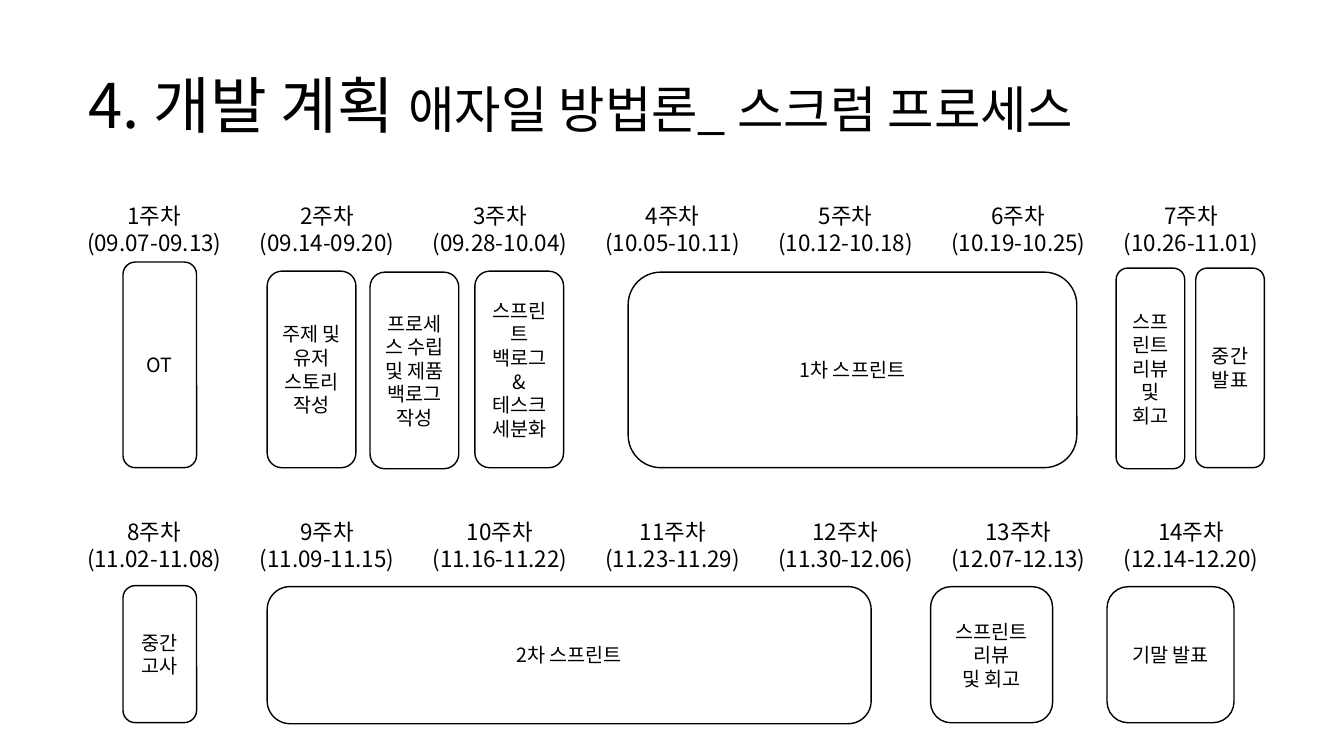
import pptx
import pptx.util
import pptx.dml.color
import pptx.enum.shapes
import pptx.enum.text
import pptx.oxml.ns
import lxml.etree

Inches = pptx.util.Inches

THEME = {
    "font": "Noto Sans CJK KR",
    "ink": pptx.dml.color.RGBColor(0, 0, 0),
    "paper": pptx.dml.color.RGBColor(255, 255, 255),
    "title": 44, "subtitle": 36, "week": 16, "task": 14, "outline": 1,
}

TITLE = [("4. 개발 계획 ", "title"), ("애자일 방법론_ 스크럼 프로세스", "subtitle")]
TITLE_AREA = (0.78, 0.35, 11.5, 1.45)

# Each task: left, top, width, height, lines
ROWS = [
    {
        "first_week": 1, "top": 1.87, "filled_weeks": True,
        "dates": ["09.07-09.13", "09.14-09.20", "09.28-10.04", "10.05-10.11",
                  "10.12-10.18", "10.19-10.25", "10.26-11.01"],
        "tasks": [
            (6.23, 2.7, 4.45, 1.94, ["1차 스프린트"]),
            (11.07, 2.66, 0.68, 1.99, ["스프린트 리뷰", "및 회고"]),
            (11.86, 2.66, 0.68, 1.98, ["중간 발표"]),
            (1.22, 2.6, 0.73, 2.04, ["OT"]),
            (2.65, 2.69, 0.88, 1.95, ["주제 및 유저 스토리 작성"]),
            (3.67, 2.7, 0.88, 1.95, ["프로세스 수립", "및 제품 백로그 작성"]),
            (4.71, 2.69, 0.88, 1.95, ["스프린트 백로그", "&", "테스크 세분화"]),
        ],
    },
    {
        "first_week": 8, "top": 5.01, "filled_weeks": False,
        "dates": ["11.02-11.08", "11.09-11.15", "11.16-11.22", "11.23-11.29",
                  "11.30-12.06", "12.07-12.13", "12.14-12.20"],
        "tasks": [
            (1.22, 5.81, 0.73, 1.36, ["중간고사"]),
            (2.65, 5.82, 5.99, 1.36, ["2차 스프린트"]),
            (9.23, 5.82, 1.21, 1.35, ["스프린트 리뷰", "및 회고"]),
            (10.98, 5.82, 1.26, 1.35, ["기말 발표"]),
        ],
    },
]
WEEKS_LEFT, WEEK_STEP, WEEK_WIDTH, WEEK_HEIGHT = 0.67, 1.714, 1.72, 0.8


def add_run(paragraph, text, size_name):
    run = paragraph.add_run()
    run.text = text
    formats = {"name": THEME["font"], "size": pptx.util.Pt(THEME[size_name])}
    for attribute, value in formats.items():
        setattr(run.font, attribute, value)
    run.font.color.rgb = THEME["ink"]
    east_asian = lxml.etree.SubElement(run.font._element, pptx.oxml.ns.qn("a:ea"))
    east_asian.set("typeface", THEME["font"])


def set_frame(frame):
    formats = {"word_wrap": True,
               "vertical_anchor": pptx.enum.text.MSO_ANCHOR.MIDDLE}
    for attribute, value in formats.items():
        setattr(frame, attribute, value)


def add_box(slide, area, lines, size_name, filled=True, outlined=True):
    """Add a rounded box with one centred paragraph per line."""
    box = slide.shapes.add_shape(
        pptx.enum.shapes.MSO_SHAPE.ROUNDED_RECTANGLE, *map(Inches, area))
    box.shadow.inherit = False
    if filled:
        box.fill.solid()
        box.fill.fore_color.rgb = THEME["paper"]
    else:
        box.fill.background()
    if outlined:
        box.line.color.rgb = THEME["ink"]
        box.line.width = pptx.util.Pt(THEME["outline"])
    else:
        box.line.fill.background()
    frame = box.text_frame
    set_frame(frame)
    for index, line in enumerate(lines):
        paragraph = frame.add_paragraph() if index else frame.paragraphs[0]
        paragraph.alignment = pptx.enum.text.PP_ALIGN.CENTER
        add_run(paragraph, line, size_name)


def add_title(slide):
    frame = slide.shapes.add_textbox(*map(Inches, TITLE_AREA)).text_frame
    set_frame(frame)
    heading = frame.paragraphs[0]
    heading.line_spacing = 0.9
    for text, size_name in TITLE:
        add_run(heading, text, size_name)


def add_row(slide, row):
    for column, dates in enumerate(row["dates"]):
        area = (WEEKS_LEFT + column * WEEK_STEP, row["top"], WEEK_WIDTH, WEEK_HEIGHT)
        lines = [f"{row['first_week'] + column}주차", f"({dates})"]
        add_box(slide, area, lines, "week", row["filled_weeks"], outlined=False)
    for *area, lines in row["tasks"]:
        add_box(slide, area, lines, "task")


def main():
    deck = pptx.Presentation()
    deck.slide_width, deck.slide_height = Inches(13.33), Inches(7.5)
    slide = deck.slides.add_slide(deck.slide_layouts[6])
    add_title(slide)
    for row in ROWS:
        add_row(slide, row)
    deck.save("out.pptx")


if __name__ == "__main__":
    main()
